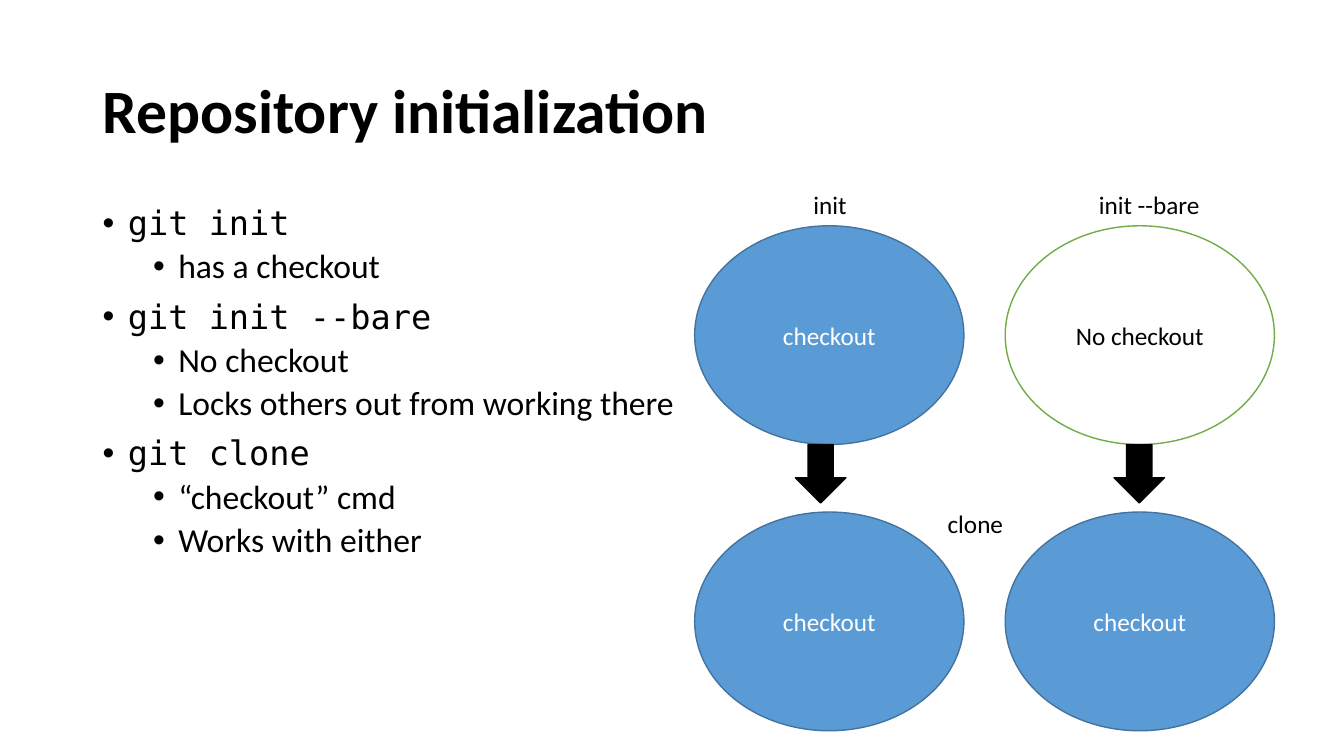
import pptx
import pptx.util
import pptx.dml.color
import pptx.enum.shapes
import pptx.enum.text
import pptx.oxml
import pptx.oxml.ns

Inches = pptx.util.Inches
Pt = pptx.util.Pt
MSO_SHAPE = pptx.enum.shapes.MSO_SHAPE
PP_ALIGN = pptx.enum.text.PP_ALIGN
MSO_ANCHOR = pptx.enum.text.MSO_ANCHOR

BULLETS = [
    (0, "git init"),
    (1, "has a checkout"),
    (0, "git init --bare"),
    (1, "No checkout"),
    (1, "Locks others out from working there"),
    (0, "git clone"),
    (1, "“checkout” cmd"),
    (1, "Works with either"),
]
BLUE = ("5B9BD5", "43739E", "FFFFFF")
BARE = ("FFFFFF", "70AD47", "000000")
BLACK = ("000000", "000000", "FFFFFF")


def rgb(value):
    """Return the colour for a hex string."""
    return pptx.dml.color.RGBColor.from_string(value)


def set_font(p, size, color="000000", name="Calibri", bold=False):
    """Set the font of a whole paragraph."""
    p.font.name = name
    p.font.size = Pt(size)
    p.font.bold = bold
    p.font.color.rgb = rgb(color)


def add_bullet(p, level):
    """Give a paragraph a hanging bullet for its level."""
    pPr = p._p.get_or_add_pPr()
    pPr.set("marL", str(Inches(0.25 + 0.5 * level)))
    pPr.set("indent", str(Inches(-0.25)))
    for tag, key, value in (("buFont", "typeface", "Arial"), ("buChar", "char", "•")):
        bullet = pptx.oxml.parse_xml(
            f'<a:{tag} {pptx.oxml.ns.nsdecls("a")} {key}="{value}"/>')
        pPr.insert_element_before(bullet, "a:tabLst", "a:defRPr", "a:extLst")


def add_text_frame(s, x, y, w, h, wrap=True):
    """Add a text box and return its text frame."""
    tf = s.shapes.add_textbox(Inches(x), Inches(y), Inches(w), Inches(h)).text_frame
    tf.word_wrap = wrap
    return tf


def add_title(s, x, y, w, h, text):
    """Add the slide title, centred vertically in its box."""
    tf = add_text_frame(s, x, y, w, h)
    tf.vertical_anchor = MSO_ANCHOR.MIDDLE
    p = tf.paragraphs[0]
    p.text = text
    p.line_spacing = 0.9
    set_font(p, 44, bold=True)


def add_body(s, x, y, w, h, bullets):
    """Add the two-level list of commands."""
    tf = add_text_frame(s, x, y, w, h)
    for i, (level, text) in enumerate(bullets):
        p = tf.add_paragraph() if i else tf.paragraphs[0]
        p.text = text
        p.level = level
        p.line_spacing = 0.9
        p.space_before = Pt(5 if level else 10)
        set_font(p, 24, name="Calibri" if level else "DejaVu Sans Mono")
        add_bullet(p, level)


def add_label(s, x, y, w, text):
    """Add a one-line diagram label."""
    tf = add_text_frame(s, x, y, w, 0.4, wrap=False)
    tf.auto_size = pptx.enum.text.MSO_AUTO_SIZE.SHAPE_TO_FIT_TEXT
    p = tf.paragraphs[0]
    p.text = text
    set_font(p, 18)


def add_node(s, kind, x, y, w, h, colors, text=""):
    """Add a filled and outlined shape with optional centred text."""
    fill, line, ink = colors
    sp = s.shapes.add_shape(kind, Inches(x), Inches(y), Inches(w), Inches(h))
    sp.shadow.inherit = False
    sp.fill.solid()
    sp.fill.fore_color.rgb = rgb(fill)
    sp.line.color.rgb = rgb(line)
    sp.line.width = Pt(1)
    if text:
        tf = sp.text_frame
        tf.vertical_anchor = MSO_ANCHOR.MIDDLE
        p = tf.paragraphs[0]
        p.text = text
        p.alignment = PP_ALIGN.CENTER
        set_font(p, 18, ink)


def add_diagram(s, x, y):
    """Add both repository columns, each cloned downwards."""
    w, h = 2.67, 2.17
    columns = [
        ("init", 1.08, 0.53, 1.0, BLUE, "checkout"),
        ("init --bare", 0.83, 1.21, 1.08, BARE, "No checkout"),
    ]
    for i, (label, label_dx, label_w, arrow_dx, colors, text) in enumerate(columns):
        left = x + 3.08 * i
        top = y + 0.41
        add_node(s, MSO_SHAPE.OVAL, left, top, w, h, colors, text)
        add_label(s, left + label_dx, y, label_w, label)
        add_node(s, MSO_SHAPE.OVAL, left, top + 2.84, w, h, BLUE, "checkout")
        add_node(s, MSO_SHAPE.DOWN_ARROW, left + arrow_dx, top + h, 0.5, 0.58, BLACK)
    add_label(s, x + 2.41, y + 3.16, 0.76, "clone")


def main():
    """Build and save the slide."""
    prs = pptx.Presentation()
    prs.slide_width = Inches(13.33)
    prs.slide_height = Inches(7.5)
    s = prs.slides.add_slide(prs.slide_layouts[6])
    add_title(s, 0.92, 0.4, 11.5, 1.45, "Repository initialization")
    add_body(s, 0.92, 2, 11.5, 4.76, BULLETS)
    add_diagram(s, 6.89, 1.83)
    prs.save("out.pptx")


if __name__ == "__main__":
    main()
